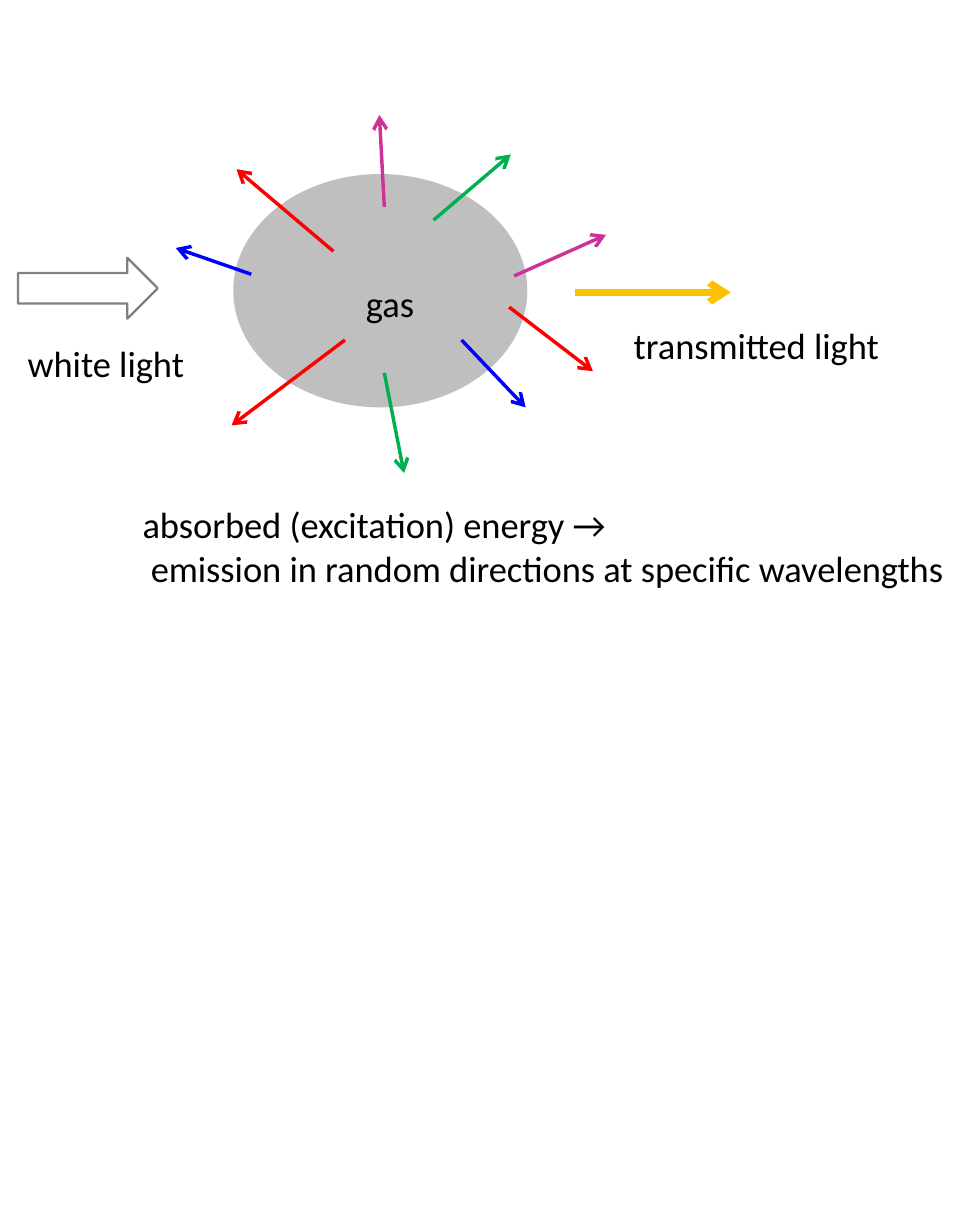
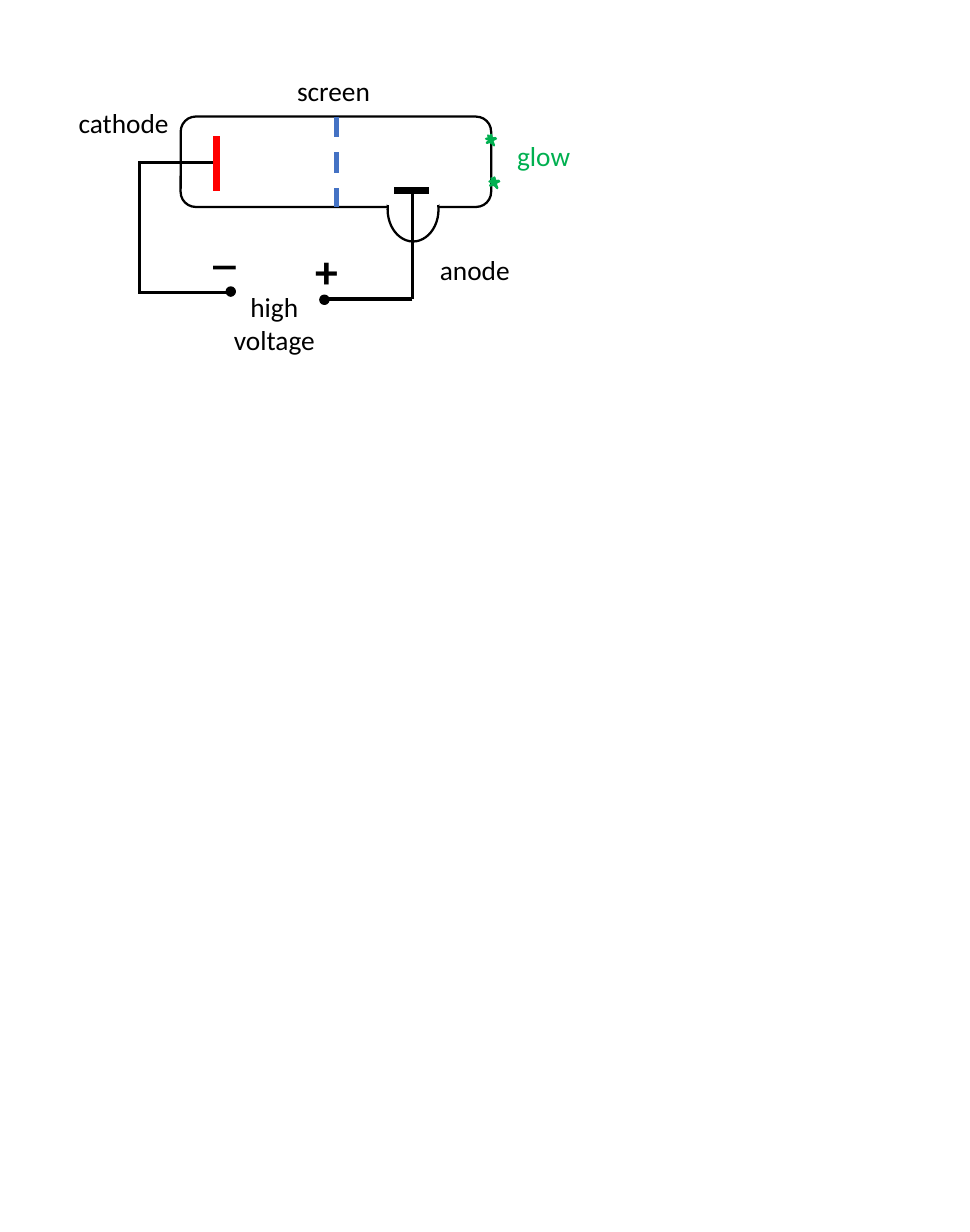
from dataclasses import dataclass
from typing import Optional

from lxml.etree import SubElement
from pptx import Presentation
from pptx.dml.color import RGBColor
from pptx.enum.dml import MSO_LINE
from pptx.enum.shapes import MSO_CONNECTOR, MSO_SHAPE
from pptx.enum.text import MSO_AUTO_SIZE, PP_ALIGN
from pptx.oxml.ns import qn
from pptx.slide import Slide
from pptx.util import Inches, Pt

# Page of 15 cm by 7.5 inches
PAGE_WIDTH = Inches(15 / 2.54)
PAGE_HEIGHT = Inches(7.5)


@dataclass(frozen=True)
class Theme:
    font: str = "Calibri"
    large: int = 16
    small: int = 12
    sign: int = 20
    thin: float = 1
    medium: float = 1.5
    dashed: float = 2.25
    thick: float = 3
    black: str = "000000"
    white: str = "FFFFFF"
    gas: str = "BFBFBF"
    outline: str = "808080"
    red: str = "FF0000"
    blue: str = "0000FF"
    green: str = "00B050"
    magenta: str = "CC3399"
    amber: str = "FFC000"
    screen: str = "4472C4"


THEME = Theme()


@dataclass(frozen=True)
class Label:
    left: float
    top: float
    width: float
    height: float
    lines: tuple[str, ...]
    size: int = THEME.small
    color: str = THEME.black
    bold: bool = False
    centered: bool = False
    next_indent: float = 0  # left margin of the lines after the first


@dataclass(frozen=True)
class Stroke:
    start: tuple[float, float]
    end: tuple[float, float]
    color: str = THEME.black
    width: float = THEME.medium
    arrow: bool = False
    dashed: bool = False


@dataclass(frozen=True)
class Figure:
    kind: MSO_SHAPE
    left: float
    top: float
    width: float
    height: float
    fill: Optional[str] = None
    line: Optional[str] = None
    rotation: float = 0


def draw_label(slide: Slide, label: Label) -> None:
    box = slide.shapes.add_textbox(Inches(label.left), Inches(label.top),
                                   Inches(label.width), Inches(label.height))
    frame = box.text_frame
    frame.word_wrap = False
    frame.auto_size = MSO_AUTO_SIZE.SHAPE_TO_FIT_TEXT
    frame.text = "\n".join(label.lines)
    for index, paragraph in enumerate(frame.paragraphs):
        if index and label.next_indent:
            paragraph._p.get_or_add_pPr().set("marL", str(Inches(label.next_indent)))
        paragraph.alignment = PP_ALIGN.CENTER if label.centered else PP_ALIGN.LEFT
        paragraph.font.name = THEME.font
        paragraph.font.size = Pt(label.size)
        paragraph.font.bold = label.bold
        paragraph.font.color.rgb = RGBColor.from_string(label.color)


def draw_stroke(slide: Slide, stroke: Stroke) -> None:
    connector = slide.shapes.add_connector(
        MSO_CONNECTOR.STRAIGHT,
        *(Inches(value) for value in stroke.start + stroke.end))
    connector.line.color.rgb = RGBColor.from_string(stroke.color)
    connector.line.width = Pt(stroke.width)
    if stroke.dashed:
        connector.line.dash_style = MSO_LINE.DASH
    properties = connector._element.spPr
    if stroke.arrow:
        SubElement(properties.find(qn("a:ln")), qn("a:tailEnd"), type="arrow")
    SubElement(properties, qn("a:effectLst"))


def draw_figure(slide: Slide, figure: Figure) -> None:
    shape = slide.shapes.add_shape(
        figure.kind, Inches(figure.left), Inches(figure.top),
        Inches(figure.width), Inches(figure.height))
    shape.shadow.inherit = False
    shape.rotation = figure.rotation
    if figure.fill:
        shape.fill.solid()
        shape.fill.fore_color.rgb = RGBColor.from_string(figure.fill)
    else:
        shape.fill.background()
    if figure.line:
        shape.line.color.rgb = RGBColor.from_string(figure.line)
        shape.line.width = Pt(THEME.thin)
    else:
        shape.line.fill.background()


# Gas slide
GAS_FIGURES = (
    Figure(MSO_SHAPE.OVAL, 1.42, 1.06, 1.79, 1.42, THEME.gas),
    Figure(MSO_SHAPE.RIGHT_ARROW, 0.11, 1.57, 0.85, 0.37, THEME.white, THEME.outline),
)
GAS_LABELS = (
    Label(0.07, 2.03, 1.17, 0.37, ("white light",), THEME.large),
    Label(3.76, 1.92, 1.72, 0.37, ("transmitted light",), THEME.large),
    Label(2.13, 1.66, 0.5, 0.37, ("gas",), THEME.large),
    Label(0.77, 3.01, 5.14, 0.64,
          ("absorbed (excitation) energy →",
           "emission in random directions at specific wavelengths"),
          THEME.large, next_indent=0.05),
)
EMITTED_RAYS = (
    ((2.03, 1.53), (1.44, 1.03), THEME.red),
    ((2.1, 2.07), (1.41, 2.59), THEME.red),
    ((3.1, 1.87), (3.61, 2.26), THEME.red),
    ((2.81, 2.07), (3.2, 2.48), THEME.blue),
    ((1.53, 1.67), (1.07, 1.51), THEME.blue),
    ((2.64, 1.34), (3.11, 0.94), THEME.green),
    ((2.34, 2.27), (2.46, 2.88), THEME.green),
    ((2.34, 1.26), (2.31, 0.7), THEME.magenta),
    ((3.13, 1.68), (3.69, 1.43), THEME.magenta),
)


def build_gas_slide(slide: Slide) -> None:
    for figure in GAS_FIGURES:
        draw_figure(slide, figure)
    for label in GAS_LABELS:
        draw_label(slide, label)
    draw_stroke(slide, Stroke((3.5, 1.78), (4.45, 1.78), THEME.amber,
                              THEME.thick, arrow=True))
    for start, end, color in EMITTED_RAYS:
        draw_stroke(slide, Stroke(start, end, color, arrow=True))


# Discharge tube slide
TUBE_FIGURES = (
    Figure(MSO_SHAPE.FLOWCHART_ALTERNATE_PROCESS, 1.1, 0.71, 1.89, 0.55,
           line=THEME.black),
    # Bulb below the tube, with its upper half masked
    Figure(MSO_SHAPE.OVAL, 2.36, 1.08, 0.31, 0.39, THEME.white, THEME.black),
    Figure(MSO_SHAPE.RECTANGLE, 2.36, 1, 0.31, 0.24, THEME.white, THEME.white),
)
TUBE_STROKES = (
    # Cathode side
    Stroke((1.31, 0.99), (0.86, 0.99)),
    Stroke((0.85, 0.98), (0.85, 1.79)),
    Stroke((1.39, 1.78), (0.86, 1.78)),
    Stroke((1.32, 0.83), (1.32, 1.16), THEME.red, THEME.thick),
    # Screen
    Stroke((2.05, 0.71), (2.05, 1.26), THEME.screen, THEME.dashed, dashed=True),
    # Anode side
    Stroke((2.51, 1.18), (2.51, 1.82)),
    Stroke((2.4, 1.16), (2.61, 1.16), width=THEME.thick),
    Stroke((2.51, 1.82), (1.97, 1.82)),
)
TUBE_LABELS = (
    Label(1.82, 1.43, 0.34, 0.44, ("+",), THEME.sign, bold=True),
    Label(1.2, 1.28, 0.34, 0.44, ("_",), THEME.sign, bold=True),
    Label(1.32, 1.72, 0.7, 0.5, ("high", "voltage"), centered=True),
    Label(1.71, 0.4, 0.65, 0.3, ("screen",)),
    Label(0.38, 0.6, 0.76, 0.3, ("cathode",)),
    Label(2.58, 1.49, 0.63, 0.3, ("anode",)),
    Label(3.05, 0.8, 0.53, 0.3, ("glow",), color=THEME.green),
)
GLOW_SPOTS = ((2.96, 0.82), (2.98, 1.08))
TERMINALS = ((1.95, 1.8), (1.38, 1.75))


def build_tube_slide(slide: Slide) -> None:
    for figure in TUBE_FIGURES:
        draw_figure(slide, figure)
    for stroke in TUBE_STROKES:
        draw_stroke(slide, stroke)
    for label in TUBE_LABELS:
        draw_label(slide, label)
    # Each glow spot is two stars, one of them turned
    for left, top in GLOW_SPOTS:
        for height, rotation in ((0.05, 0), (0.07, 329.7)):
            draw_figure(slide, Figure(MSO_SHAPE.STAR_4_POINT, left, top, 0.06, height,
                                      THEME.green, THEME.green, rotation))
    for left, top in TERMINALS:
        draw_figure(slide, Figure(MSO_SHAPE.OVAL, left, top, 0.05, 0.05,
                                  THEME.black, THEME.black))


def main() -> None:
    presentation = Presentation()
    presentation.slide_width = PAGE_WIDTH
    presentation.slide_height = PAGE_HEIGHT
    blank_layout = presentation.slide_layouts.get_by_name("Blank")
    for build in (build_gas_slide, build_tube_slide):
        build(presentation.slides.add_slide(blank_layout))
    presentation.save("out.pptx")


if __name__ == "__main__":
    main()
